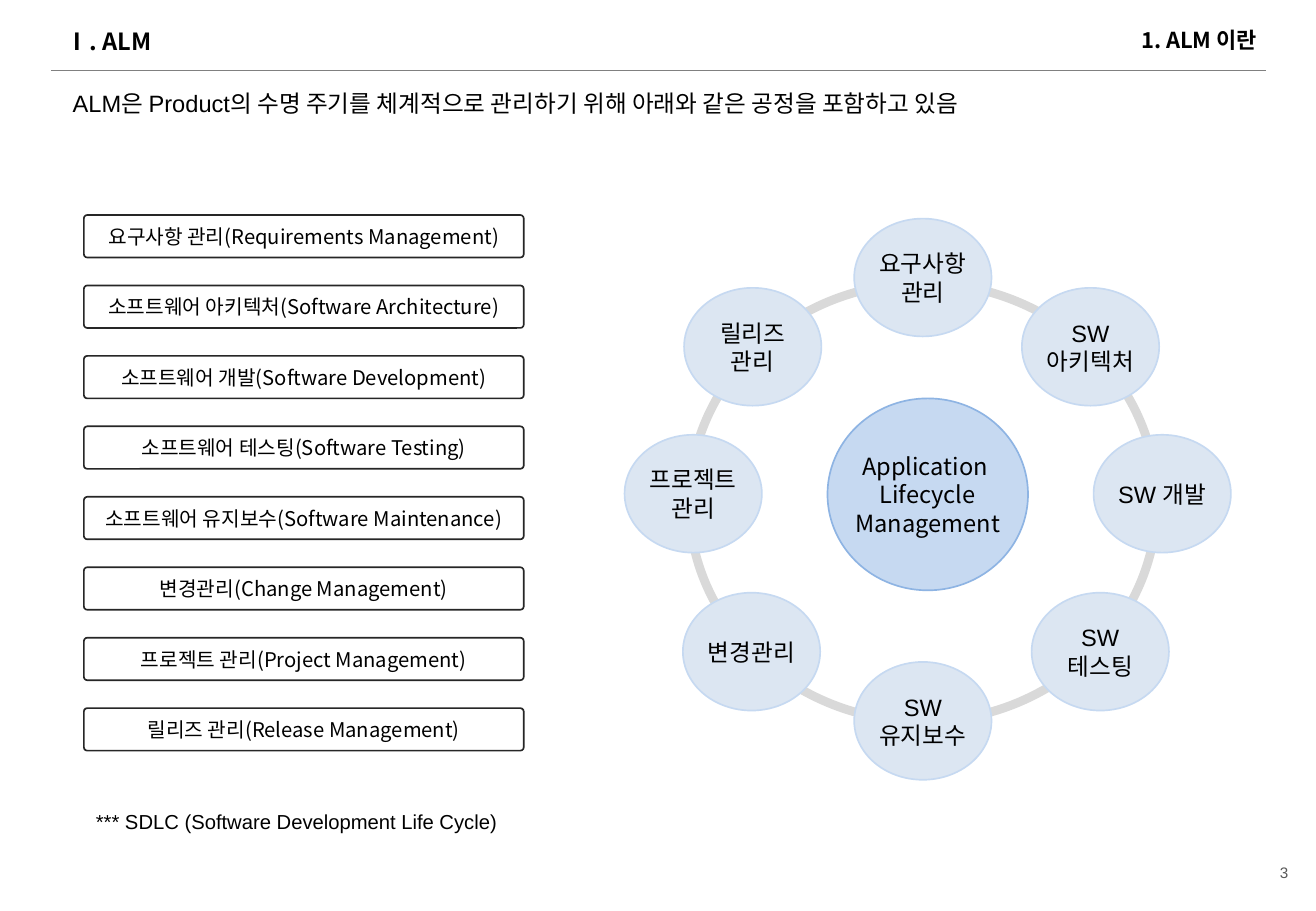
import pptx
import pptx.dml.color
import pptx.enum.shapes
import pptx.enum.text
import pptx.oxml.ns
import pptx.util
from lxml import etree

Inches = pptx.util.Inches
Pt = pptx.util.Pt
ALIGN = pptx.enum.text.PP_ALIGN
ANCHOR = pptx.enum.text.MSO_ANCHOR
SHAPE = pptx.enum.shapes.MSO_SHAPE

COLOURS = {
    "text": "000000",
    "page": "595959",
    "rule": "808080",
    "ring": "D9D9D9",
    "box": "262626",
    "hub": "C6D9F1",
    "hub line": "8EB4E3",
    "stage": "DCE6F2",
    "stage line": "C6D9F1",
}
KOREAN, LATIN = "Noto Sans CJK KR", "Arial"


class SlideBuilder:
    def __init__(self, slide):
        self.slide = slide

    def colour(self, name):
        return pptx.dml.color.RGBColor.from_string(COLOURS[name])

    def add_lines(self, shape, lines, size, font=LATIN, align=ALIGN.LEFT, anchor=ANCHOR.TOP,
                  bold=False, colour="text", spacing=None):
        frame = shape.text_frame
        frame.word_wrap = True
        frame.vertical_anchor = anchor
        for index, line in enumerate(lines):
            paragraph = frame.paragraphs[0] if index == 0 else frame.add_paragraph()
            paragraph.alignment = align
            if spacing:
                paragraph.line_spacing = Pt(spacing)
            run = paragraph.add_run()
            run.text = line
            run.font.size = Pt(size)
            run.font.bold = bold
            run.font.name = font
            run.font.color.rgb = self.colour(colour)
            east_asian = etree.SubElement(run.font._element, pptx.oxml.ns.qn("a:ea"))
            east_asian.set("typeface", KOREAN)

    def title(self, text, left, top, width, height):
        shape = self.slide.shapes.title
        shape.left, shape.top = Inches(left), Inches(top)
        shape.width, shape.height = Inches(width), Inches(height)
        self.add_lines(shape, [text], 14, KOREAN, anchor=ANCHOR.MIDDLE, bold=True)

    def label(self, text, left, top, width, height, size, **style):
        shape = self.slide.shapes.add_textbox(
            Inches(left), Inches(top), Inches(width), Inches(height))
        self.add_lines(shape, [text], size, **style)

    def rule(self, left, right, top):
        line = self.slide.shapes.add_connector(
            pptx.enum.shapes.MSO_CONNECTOR.STRAIGHT,
            Inches(left), Inches(top), Inches(right), Inches(top))
        line.line.color.rgb = self.colour("rule")
        line.line.width = Pt(1)
        etree.SubElement(line._element.spPr, pptx.oxml.ns.qn("a:effectLst"))

    def shape(self, kind, left, top, width, height, line, fill=None, weight=1):
        shape = self.slide.shapes.add_shape(
            kind, Inches(left), Inches(top), Inches(width), Inches(height))
        shape.shadow.inherit = False
        shape.line.color.rgb = self.colour(line)
        shape.line.width = Pt(weight)
        if fill:
            shape.fill.solid()
            shape.fill.fore_color.rgb = self.colour(fill)
        else:
            shape.fill.background()
        return shape

    def add_centred_lines(self, shape, lines, size, font, spacing=None):
        frame = shape.text_frame
        frame.margin_left = frame.margin_right = 0
        frame.margin_top = frame.margin_bottom = 0
        self.add_lines(shape, lines, size, font, ALIGN.CENTER, ANCHOR.MIDDLE, spacing=spacing)
        frame.word_wrap = False

    def process_box(self, text, left, top):
        box = self.shape(SHAPE.ROUNDED_RECTANGLE, left, top, 3.62, 0.35, "box")
        box.adjustments[0] = 0.08
        self.add_centred_lines(box, [text], 12, KOREAN)

    def stage(self, lines, left, top):
        circle = self.shape(SHAPE.OVAL, left, top, 1.13, 0.97, "stage line", "stage")
        self.add_centred_lines(circle, lines, 14, LATIN, 17)

    def hub(self, lines, left, top, width, height):
        circle = self.shape(SHAPE.OVAL, left, top, width, height, "hub line", "hub")
        self.add_centred_lines(circle, lines, 14, KOREAN, 17)


PROCESSES = [
    "요구사항 관리(Requirements Management)",
    "소프트웨어 아키텍처(Software Architecture)",
    "소프트웨어 개발(Software Development)",
    "소프트웨어 테스팅(Software Testing)",
    "소프트웨어 유지보수(Software Maintenance)",
    "변경관리(Change Management)",
    "프로젝트 관리(Project Management)",
    "릴리즈 관리(Release Management)",
]

# Clockwise from the top: lines, left, top
STAGES = [
    (["요구사항", "관리"], 7.03, 1.8),
    (["SW", "아키텍처"], 8.41, 2.37),
    (["SW 개발"], 9, 3.58),
    (["SW", "테스팅"], 8.49, 4.88),
    (["SW", "유지보수"], 7.03, 5.45),
    (["변경관리"], 5.62, 4.88),
    (["프로젝트", "관리"], 5.14, 3.58),
    (["릴리즈", "관리"], 5.63, 2.37),
]


def main():
    presentation = pptx.Presentation()
    presentation.slide_width = Inches(10.83)
    presentation.slide_height = Inches(7.5)
    builder = SlideBuilder(presentation.slides.add_slide(presentation.slide_layouts[5]))

    # Header
    builder.title("Ⅰ. ALM", 0.44, 0.16, 9.87, 0.36)
    builder.label("1. ALM 이란", 7.39, 0.13, 3.05, 0.4, 13, font=KOREAN,
                  align=ALIGN.RIGHT, anchor=ANCHOR.MIDDLE, bold=True)
    builder.rule(0.42, 10.42, 0.58)
    builder.label("ALM은 Product의 수명 주기를 체계적으로 관리하기 위해 아래와 같은 공정을 포함하고 있음",
                  0.5, 0.68, 9.95, 0.34, 14, spacing=17)

    # Process list
    for index, process in enumerate(PROCESSES):
        builder.process_box(process, 0.69, 1.77 + 0.58 * index)
    builder.label("*** SDLC (Software Development Life Cycle)", 0.69, 6.61, 3.62, 0.3, 12)

    # Life cycle wheel
    builder.shape(SHAPE.OVAL, 5.67, 2.33, 3.85, 3.61, "ring", weight=5.25)
    builder.hub(["Application ", "Lifecycle", "Management"], 6.81, 3.28, 1.65, 1.58)
    for lines, left, top in STAGES:
        builder.stage(lines, left, top)

    # Page number
    builder.label("3", 8.17, 6.98, 2.53, 0.4, 9, align=ALIGN.RIGHT,
                  anchor=ANCHOR.MIDDLE, colour="page")

    presentation.save("out.pptx")


if __name__ == "__main__":
    main()
